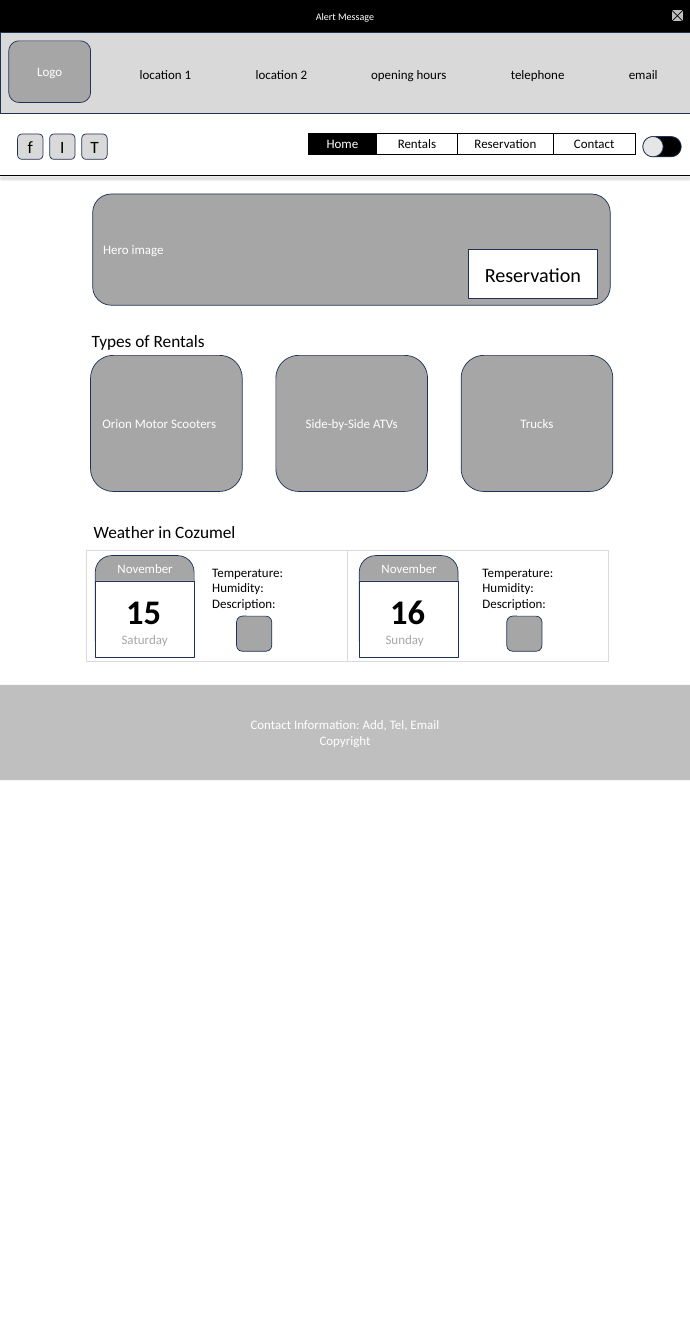
from dataclasses import dataclass
from typing import Any, Optional

from lxml import etree
from pptx import Presentation
from pptx.dml.color import RGBColor
from pptx.enum import shapes, text
from pptx.oxml import parse_xml
from pptx.oxml.ns import nsdecls, qn
from pptx.util import Inches, Pt

FONT = "Calibri"
BLACK, WHITE, NAVY = "000000", "FFFFFF", "1E3256"
GREY, SILVER, PALE, OFF_WHITE = "A6A6A6", "BFBFBF", "D9D9D9", "E7E6E6"
RECTANGLE = shapes.MSO_SHAPE.RECTANGLE
ROUNDED = shapes.MSO_SHAPE.ROUNDED_RECTANGLE
LEFT, CENTER = text.PP_ALIGN.LEFT, text.PP_ALIGN.CENTER
PAGE_WIDTH = 13.33


@dataclass
class Block:
    left: float
    top: float
    width: float
    height: float
    fill: str
    words: str = ""
    line: Optional[str] = NAVY
    kind: Any = ROUNDED
    size: int = 18
    color: str = WHITE
    align: Any = CENTER


@dataclass
class Label:
    left: float
    top: float
    width: float
    height: float
    words: str
    size: int = 18
    color: str = BLACK
    bold: bool = False


def rgb(color: str) -> RGBColor:
    return RGBColor.from_string(color)


def write(frame: Any, words: str, size: int, color: str, align: Any, bold: bool = False) -> None:
    frame.text = words
    for paragraph in frame.paragraphs:
        paragraph.alignment = align
        paragraph.space_before = Pt(0)
        font = paragraph.font
        font.name, font.size, font.bold = FONT, Pt(size), bold
        font.color.rgb = rgb(color)


def place(shape: Any, item: Any) -> None:
    shape.left, shape.top = Inches(item.left), Inches(item.top)
    shape.width, shape.height = Inches(item.width), Inches(item.height)


def add_block(parent: Any, block: Block) -> Any:
    shape = parent.add_shape(block.kind, 0, 0, 0, 0)
    place(shape, block)
    shape.shadow.inherit = False
    shape.fill.solid()
    shape.fill.fore_color.rgb = rgb(block.fill)
    if block.line:
        shape.line.color.rgb = rgb(block.line)
        shape.line.width = Pt(1)
    else:
        shape.line.fill.background()
    if block.words:
        write(shape.text_frame, block.words, block.size, block.color, block.align)
        shape.text_frame.vertical_anchor = text.MSO_ANCHOR.MIDDLE
    return shape


def fill_label(shape: Any, label: Label) -> None:
    place(shape, label)
    frame = shape.text_frame
    write(frame, label.words, label.size, label.color, LEFT, label.bold)
    frame.word_wrap = False
    frame.auto_size = text.MSO_AUTO_SIZE.SHAPE_TO_FIT_TEXT
    frame.vertical_anchor = text.MSO_ANCHOR.TOP


def add_label(parent: Any, label: Label) -> None:
    fill_label(parent.add_textbox(0, 0, 0, 0), label)


def add_line(parent: Any, start: tuple, end: tuple, width: float) -> Any:
    line = parent.add_connector(shapes.MSO_CONNECTOR.STRAIGHT, *map(Inches, start + end))
    line.line.color.rgb = rgb(BLACK)
    line.line.width = Pt(width)
    return etree.SubElement(line.element.spPr, qn("a:effectLst"))


def add_grid(parent: Any, left: float, top: float, height: float, widths: list[float], border: str) -> Any:
    frame = parent.add_table(1, len(widths), Inches(left), Inches(top),
                             Inches(sum(widths)), Inches(height))
    table = frame.table
    table.first_row = table.horz_banding = False
    for column, width in zip(table.columns, widths):
        column.width = Inches(width)
    for cell in table.iter_cells():
        properties = cell._tc.get_or_add_tcPr()
        for side in ("lnL", "lnR", "lnT", "lnB"):
            properties.append(parse_xml(
                f'<a:{side} {nsdecls("a")} w="12700"><a:solidFill>'
                f'<a:srgbClr val="{border}"/></a:solidFill></a:{side}>'))
        cell.fill.background()
    return table


presentation = Presentation()
presentation.slide_width, presentation.slide_height = Inches(PAGE_WIDTH), Inches(25.98)
slide = presentation.slides.add_slide(presentation.slide_layouts[3])
canvas = slide.shapes
title, *reading_lists = canvas.placeholders

# Alert bar with close button
add_block(canvas, Block(0, 0, PAGE_WIDTH, 0.63, BLACK, "Alert Message", None, RECTANGLE, 14))
close_button = canvas.add_group_shape().shapes
add_block(close_button, Block(12.97, 0.19, 0.23, 0.23, SILVER, line=BLACK, kind=RECTANGLE))
add_line(close_button, (12.97, 0.19), (13.2, 0.42), 1)
add_line(close_button, (13.2, 0.19), (12.97, 0.42), 1)

# Header with logo space and contact details
add_block(canvas, Block(0, 0.63, PAGE_WIDTH, 1.56, PALE, kind=RECTANGLE))
add_block(canvas, Block(0.17, 0.79, 1.58, 1.19, GREY, "Logo"))
for left, width, words in [(2.6, 1.21, "location 1"), (4.84, 1.21, "location 2"),
                           (7.07, 1.68, "opening hours"), (9.77, 1.25, "telephone"),
                           (12.05, 0.77, "email")]:
    add_label(canvas, Label(left, 1.24, width, 0.4, words))

# Social buttons, menu and theme switch
social = canvas.add_group_shape().shapes
for index, letter in enumerate("fIT"):
    add_block(social, Block(0.34 + 0.62 * index, 2.59, 0.49, 0.49, PALE, letter,
                            size=24, color=BLACK))
menu = add_grid(canvas, 5.96, 2.58, 0.41, [1.31, 1.57, 1.85, 1.58], BLACK)
for cell, words in zip(menu.iter_cells(), ["Home", "Rentals", "Reservation", "Contact"]):
    active = words == "Home"
    write(cell.text_frame, words, 18, WHITE if active else BLACK, CENTER)
    cell.fill.solid()
    cell.fill.fore_color.rgb = rgb(BLACK if active else WHITE)
switch = canvas.add_group_shape().shapes
add_block(switch, Block(12.42, 2.64, 0.74, 0.39, BLACK)).adjustments[0] = 0.5
add_block(switch, Block(12.42, 2.64, 0.39, 0.39, OFF_WHITE, kind=shapes.MSO_SHAPE.OVAL))
divider_effects = add_line(canvas, (0, 3.39), (PAGE_WIDTH, 3.39), 0.5)
divider_effects.append(parse_xml(
    f'<a:outerShdw {nsdecls("a")} blurRad="{Pt(4)}" dist="{Pt(3)}" dir="5400000" '
    f'algn="t" rotWithShape="0"><a:srgbClr val="{BLACK}"><a:alpha val="40000"/>'
    '</a:srgbClr></a:outerShdw>'))

# Hero area
add_block(canvas, Block(1.79, 3.75, 10, 2.15, GREY, "Hero image", align=LEFT))
add_block(canvas, Block(9.05, 4.83, 2.49, 0.94, WHITE, "Reservation",
                        kind=RECTANGLE, size=28, color=BLACK))

# Rentals
fill_label(title, Label(1.67, 6.33, 2.41, 0.5, "Types of Rentals", 24))
rentals = canvas.add_group_shape().shapes
for index, (words, align) in enumerate([("Orion Motor Scooters", LEFT),
                                        ("Side-by-Side ATVs", CENTER), ("Trucks", CENTER)]):
    add_block(rentals, Block(1.75 + 3.58 * index, 6.87, 2.93, 2.63, GREY, words, align=align))

# Weather
add_label(canvas, Label(1.71, 10.03, 2.97, 0.5, "Weather in Cozumel", 24))
add_grid(canvas, 1.67, 10.64, 2.15, [5.04, 5.04], PALE)
days = [("15", "Saturday", 1.1), ("16", "Sunday", 0.95)]
for index, ((number, weekday, width), readings) in enumerate(zip(days, reading_lists)):
    left = 1.84 + 5.1 * index
    calendar = canvas.add_group_shape().shapes
    add_block(calendar, Block(left, 10.74, 1.91, 1.96, GREY))
    add_block(calendar, Block(left, 11.23, 1.91, 1.47, WHITE, kind=RECTANGLE))
    add_label(calendar, Label(left + 0.33, 10.78, 1.28, 0.4, "November", color=WHITE))
    add_label(calendar, Label(left + 0.41, 12.15, width, 0.4, weekday, color=GREY))
    add_label(calendar, Label(left + 0.5, 11.36, 0.89, 0.91, number, 48, bold=True))

    left = 4 + 5.22 * index
    fill_label(readings, Label(left, 10.86, 1.59, 1.0, "Temperature:\nHumidity:\nDescription:"))
    for paragraph in readings.text_frame.paragraphs:
        properties = paragraph._p.get_or_add_pPr()
        properties.set("marL", "0")
        properties.set("indent", "0")
        properties.insert_element_before(parse_xml(f'<a:buNone {nsdecls("a")}/>'),
                                         "a:tabLst", "a:defRPr", "a:extLst")
    add_block(canvas, Block(left + 0.57, 11.91, 0.68, 0.68, GREY))

# Footer
add_block(canvas, Block(0, 13.24, PAGE_WIDTH, 1.84, SILVER,
                        "Contact Information: Add, Tel, Email\nCopyright", None, RECTANGLE))

presentation.save("out.pptx")
